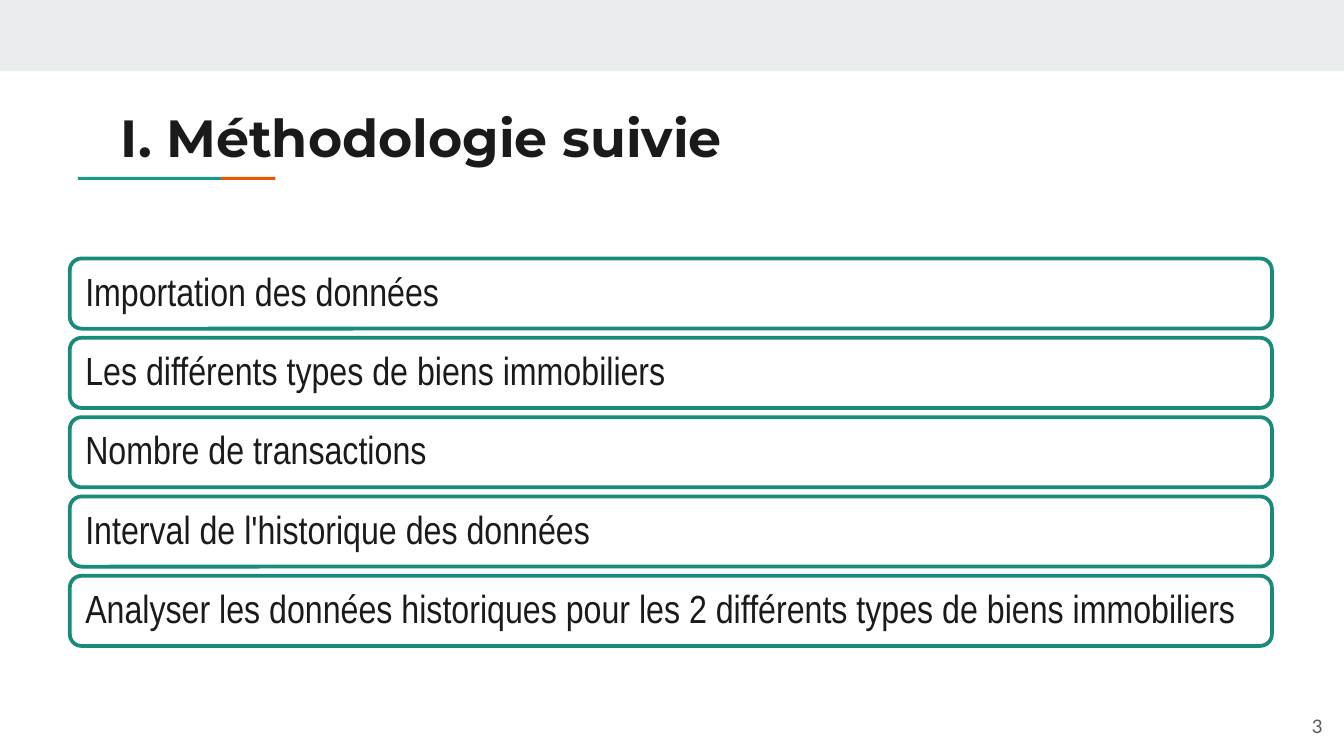
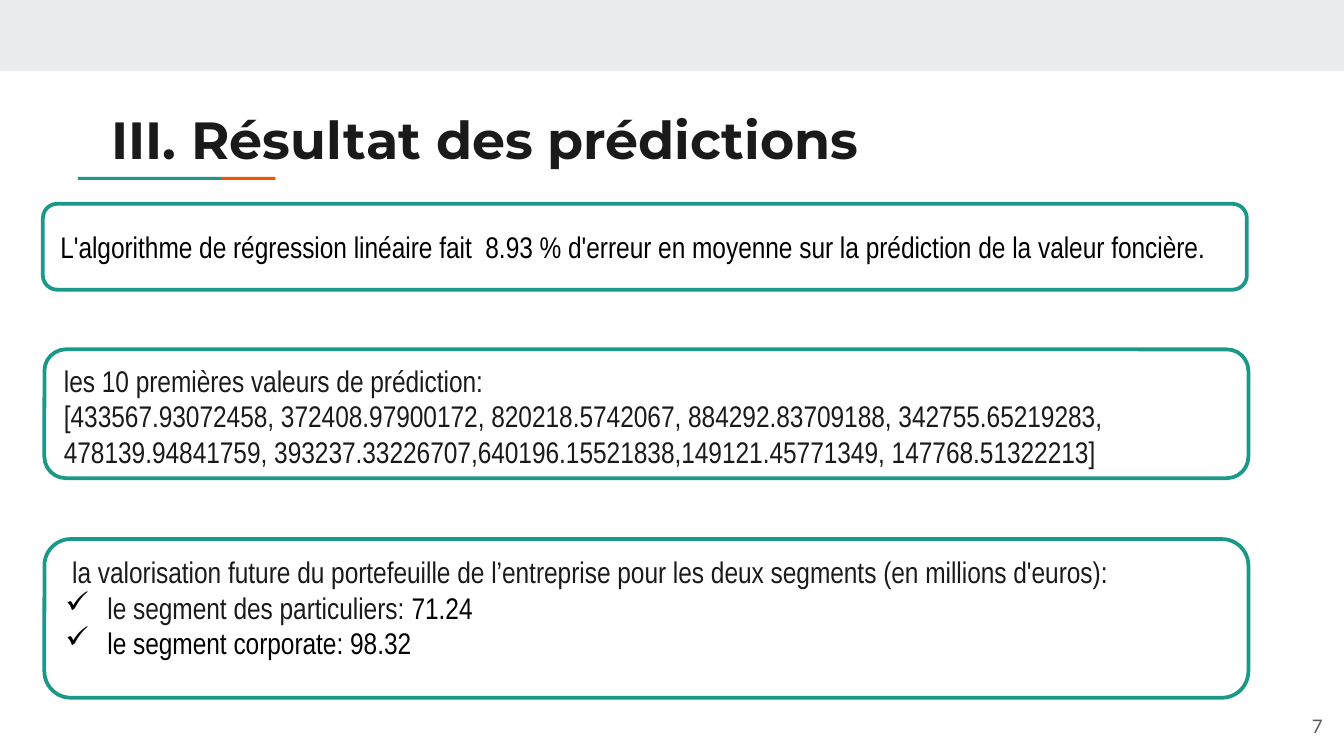
from dataclasses import dataclass

from lxml.etree import SubElement
from pptx import Presentation
from pptx.dml.color import RGBColor as RGB
from pptx.enum.shapes import MSO_SHAPE as SHAPE
from pptx.enum.text import MSO_ANCHOR as ANCHOR, MSO_AUTO_SIZE as AUTOSIZE, PP_ALIGN as ALIGN
from pptx.oxml.ns import qn
from pptx.util import Pt


@dataclass(frozen=True)
class Theme:
    # Colours
    ink: str = "1A1A1A"
    black: str = "000000"
    grey: str = "595959"
    white: str = "FFFFFF"
    band: str = "E9EDEE"
    teal: str = "1A9988"
    dark_teal: str = "188B7B"
    orange: str = "EB5600"
    # Fonts and sizes
    title_font: str = "Montserrat"
    body_font: str = "Arial Narrow"
    number_font: str = "Lato"
    title_size: int = 28
    step_size: int = 21
    body_size: int = 16
    number_size: int = 10


THEME = Theme()


def add_run(p, text, *, font=THEME.body_font, size=THEME.body_size, color=THEME.ink, bold=False):
    r = p.add_run()
    r.text = text
    r.font.name, r.font.size, r.font.bold = font, Pt(size), bold
    r.font.color.rgb = RGB.from_string(color)


def add_check(p, color, indent=22.5):
    pPr = p._p.get_or_add_pPr()
    pPr.set("marL", str(Pt(indent)))
    pPr.set("indent", str(Pt(-indent)))
    SubElement(SubElement(pPr, qn("a:buClr")), qn("a:srgbClr"), val=color)
    SubElement(pPr, qn("a:buChar"), char="✓")


class Deck:
    def __init__(self, theme):
        self.theme = theme
        self.prs = Presentation()
        self.prs.slide_width, self.prs.slide_height = Pt(720), Pt(405)
        self.slide = None

    def new_slide(self, title, number, left, top):
        t = self.theme
        self.slide = self.prs.slides.add_slide(self.prs.slide_layouts[5])
        # Top band and two-colour rule
        self.bar(0, 0, 720, 38.2, t.band)
        self.bar(41.8, 94.8, 76.7, 1.6, t.teal)
        self.bar(118.5, 94.8, 29, 1.6, t.orange)
        # Title
        sp = self.slide.shapes.title
        sp.left, sp.top, sp.width, sp.height = Pt(left), Pt(top), Pt(605.5), Pt(42.5)
        p = self.frame(sp, ANCHOR.TOP)
        add_run(p, title, font=t.title_font, size=t.title_size, bold=True)
        # Page number
        sp = self.slide.shapes.add_textbox(Pt(672.5), Pt(373.7), Pt(43.2), Pt(31))
        p = self.frame(sp, ANCHOR.MIDDLE, align=ALIGN.RIGHT)
        add_run(p, number, font=t.number_font, size=t.number_size, color=t.grey)

    def frame(self, sp, anchor, inset=7.2, inset_v=7.2, align=ALIGN.LEFT):
        tf = sp.text_frame
        tf.word_wrap, tf.auto_size, tf.vertical_anchor = True, AUTOSIZE.NONE, anchor
        tf.margin_left = tf.margin_right = Pt(inset)
        tf.margin_top = tf.margin_bottom = Pt(inset_v)
        p = tf.paragraphs[0]
        p.alignment = align
        return p

    def shape(self, kind, left, top, width, height, fill):
        sp = self.slide.shapes.add_shape(kind, Pt(left), Pt(top), Pt(width), Pt(height))
        sp.shadow.inherit = False
        sp.fill.solid()
        sp.fill.fore_color.rgb = RGB.from_string(fill)
        return sp

    def bar(self, left, top, width, height, fill):
        self.shape(SHAPE.RECTANGLE, left, top, width, height, fill).line.fill.background()

    def card(self, left, top, width, height, line):
        sp = self.shape(SHAPE.ROUNDED_RECTANGLE, left, top, width, height, self.theme.white)
        sp.line.color.rgb = RGB.from_string(line)
        sp.line.width = Pt(2)
        return sp

    def step(self, text, top):
        sp = self.card(37.4, top, 644, 37.6, self.theme.dark_teal)
        p = self.frame(sp, ANCHOR.MIDDLE, inset=6.5, inset_v=3.6)
        p.line_spacing = 0.9
        add_run(p, text, size=self.theme.step_size)

    def result(self, paragraphs, left, top, height, anchor=ANCHOR.TOP):
        """Each paragraph is (bullet colour or None, [(text, colour), ...])."""
        sp = self.card(left, top, 645, height, self.theme.teal)
        p = self.frame(sp, anchor, inset_v=3.6)
        for i, (bullet, runs) in enumerate(paragraphs):
            if i:
                p = sp.text_frame.add_paragraph()
                p.alignment = ALIGN.LEFT
            if bullet:
                add_check(p, bullet)
            for text, color in runs:
                add_run(p, text, color=color)


def build_method(deck):
    deck.new_slide("I. Méthodologie suivie", "3", 57.6, 49)
    steps = [
        "Importation des données",
        "Les différents types de biens immobiliers",
        "Nombre de transactions",
        "Interval de l'historique des données",
        "Analyser les données historiques pour les 2 différents types de biens immobiliers",
    ]
    for i, text in enumerate(steps):
        deck.step(text, 138.5 + i * 42.5)


def build_predictions(deck):
    ink, black = deck.theme.ink, deck.theme.black
    deck.new_slide("III. Résultat des prédictions", "7", 52.6, 50.4)
    # Mean error
    deck.result([
        (None, [("L'algorithme de régression linéaire fait  8.93 % d'erreur en moyenne "
                 "sur la prédiction de la valeur foncière.", black)]),
    ], 23, 109.2, 46, ANCHOR.MIDDLE)
    # First predicted values
    deck.result([
        (None, [("les 10 premières valeurs de prédiction:", ink)]),
        (None, [("[433567.93072458, 372408.97900172, 820218.5742067, 884292.83709188, "
                 "342755.65219283, 478139.94841759, 393237.33226707,640196.15521838,"
                 "149121.45771349, 147768.51322213]", ink)]),
    ], 23.8, 187.2, 69)
    # Future value by segment
    deck.result([
        (None, [(" la valorisation future du portefeuille de l’entreprise pour les deux "
                 "segments (en millions d'euros):", ink)]),
        (black, [("le segment des particuliers: ", ink), ("71.24", black)]),
        (black, [("le segment corporate: 98.32", black)]),
    ], 23.8, 288.8, 85)


def main():
    deck = Deck(THEME)
    build_method(deck)
    build_predictions(deck)
    deck.prs.save("out.pptx")


if __name__ == "__main__":
    main()
